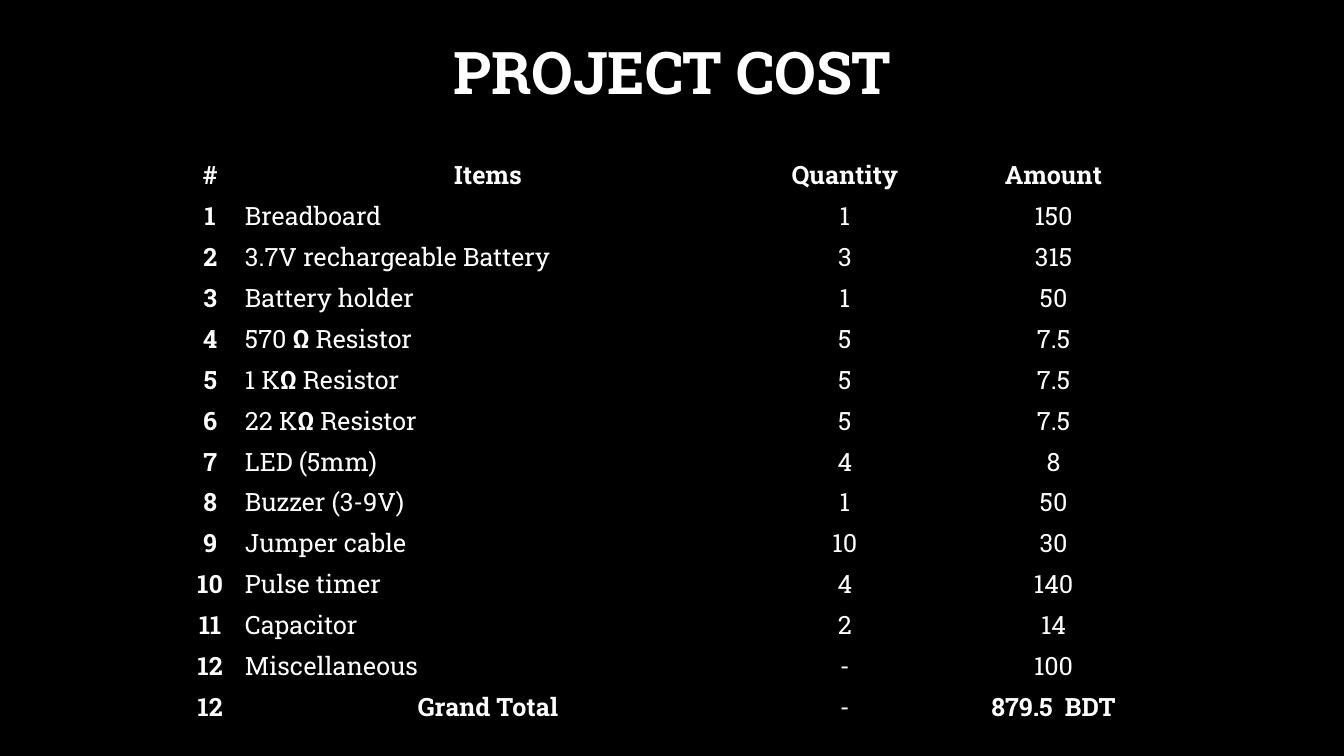
from lxml import etree
from pptx import Presentation, util as u
from pptx.dml.color import RGBColor
from pptx.enum import text
from pptx.oxml.ns import qn

COLORS = {"back": "000000", "ink": "FFFFFF"}
FONT = "Roboto Slab"
CENTER, LEFT = text.PP_ALIGN.CENTER, text.PP_ALIGN.LEFT

ITEMS = [
    ("Breadboard", "1", "150"),
    ("3.7V rechargeable Battery", "3", "315"),
    ("Battery holder", "1", "50"),
    ("570 Ω Resistor", "5", "7.5"),
    ("1 KΩ Resistor", "5", "7.5"),
    ("22 KΩ Resistor", "5", "7.5"),
    ("LED (5mm)", "4", "8"),
    ("Buzzer (3-9V)", "1", "50"),
    ("Jumper cable", "10", "30"),
    ("Pulse timer", "4", "140"),
    ("Capacitor", "2", "14"),
    ("Miscellaneous", "-", "100"),
]
ROWS = [("#", "Items", "Quantity", "Amount")]
ROWS += [(str(n), *item) for n, item in enumerate(ITEMS, 1)]
ROWS += [("12", "Grand Total", "-", "879.5  BDT")]
COL_WIDTHS = [0.49, 5.02, 2.06, 2.08]


def write(p, words, size, bold, align):
    """Fill a paragraph; an ohm sign is always bold."""
    p.alignment = align
    for part in words.partition("Ω"):
        if part:
            r = p.add_run()
            r.text = part
            r.font.color.rgb = RGBColor.from_string(COLORS["ink"])
            style = {"name": FONT, "size": u.Pt(size), "bold": bold or part == "Ω"}
            for key, value in style.items():
                setattr(r.font, key, value)


def add_borders(cell):
    tcPr = cell._tc.get_or_add_tcPr()
    for i, side in enumerate(("lnL", "lnR", "lnT", "lnB")):
        ln = etree.Element(qn(f"a:{side}"), w=str(u.Pt(4.5)))
        fill = etree.SubElement(ln, qn("a:solidFill"))
        etree.SubElement(fill, qn("a:srgbClr"), val=COLORS["back"])
        tcPr.insert(i, ln)


prs = Presentation()
prs.slide_width, prs.slide_height = u.Inches(13.33), u.Inches(7.5)
s = prs.slides.add_slide(prs.slide_layouts[6])
s.background.fill.solid()
s.background.fill.fore_color.rgb = RGBColor.from_string(COLORS["back"])

# Title
title = s.shapes.add_textbox(u.Inches(3.21), u.Inches(0.3), u.Inches(6.92), u.Inches(0.81))
tf = title.text_frame
tf.word_wrap = True
write(tf.paragraphs[0], "PROJECT COST", 42, True, CENTER)

# Cost table
frame = s.shapes.add_table(len(ROWS), len(COL_WIDTHS), u.Inches(1.84), u.Inches(1.52),
                           u.Inches(sum(COL_WIDTHS)), u.Inches(5.68))
table = frame.table
table.first_row = table.horz_banding = False
for column, width in zip(table.columns, COL_WIDTHS):
    column.width = u.Inches(width)

last = len(ROWS) - 1
cell_format = {"margin_left": u.Inches(0.1), "margin_right": u.Inches(0.1),
               "margin_top": u.Inches(0.05), "margin_bottom": u.Inches(0.02),
               "vertical_anchor": text.MSO_ANCHOR.MIDDLE}
for i, row in enumerate(ROWS):
    for j, words in enumerate(row):
        cell = table.cell(i, j)
        for key, value in cell_format.items():
            setattr(cell, key, value)
        cell.fill.solid()
        cell.fill.fore_color.rgb = RGBColor.from_string(COLORS["back"])
        add_borders(cell)
        bold = i == 0 or j == 0 or (i == last and j != 2)
        align = LEFT if j == 1 and 0 < i < last else CENTER
        write(cell.text_frame.paragraphs[0], words, 18, bold, align)

prs.save("out.pptx")
